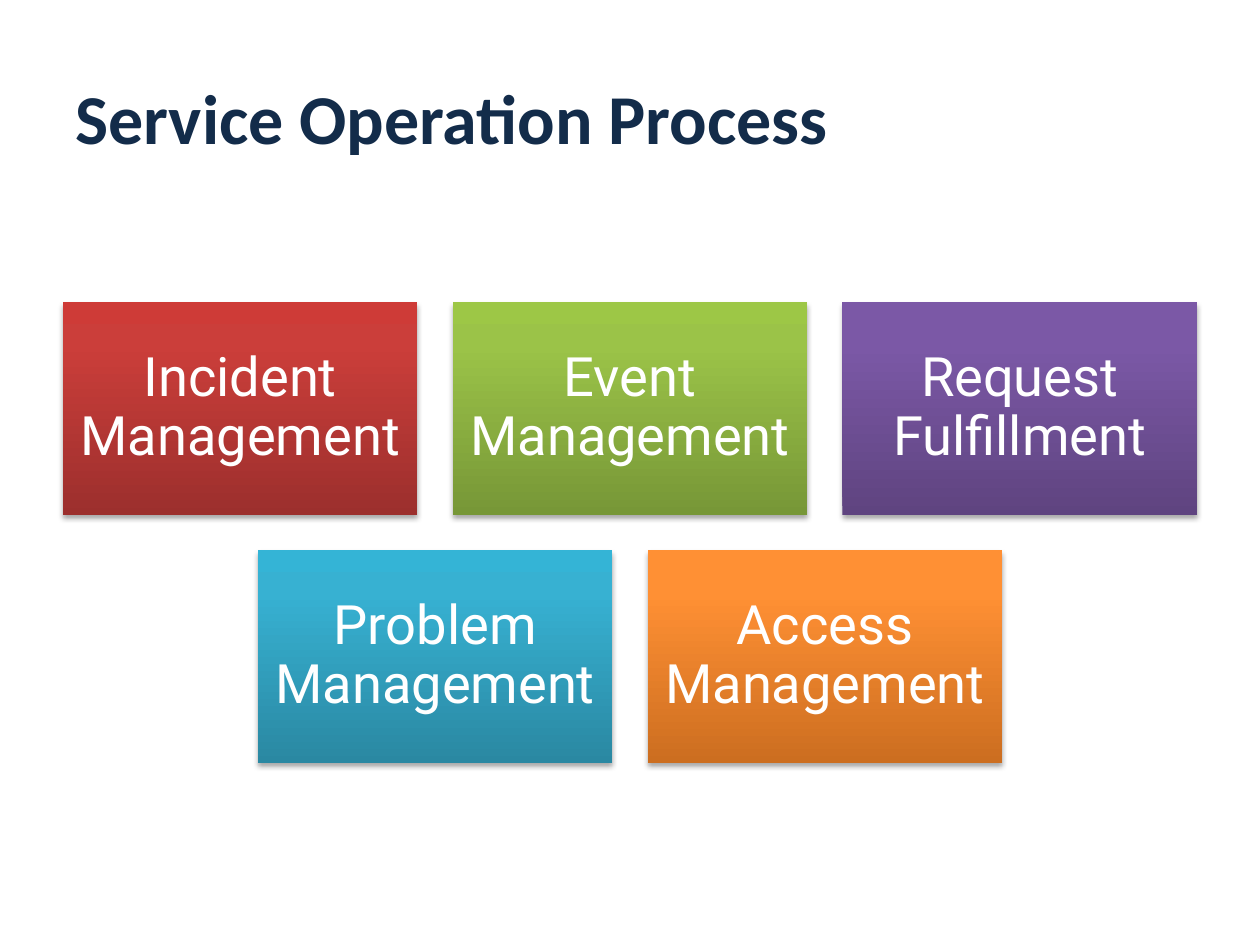
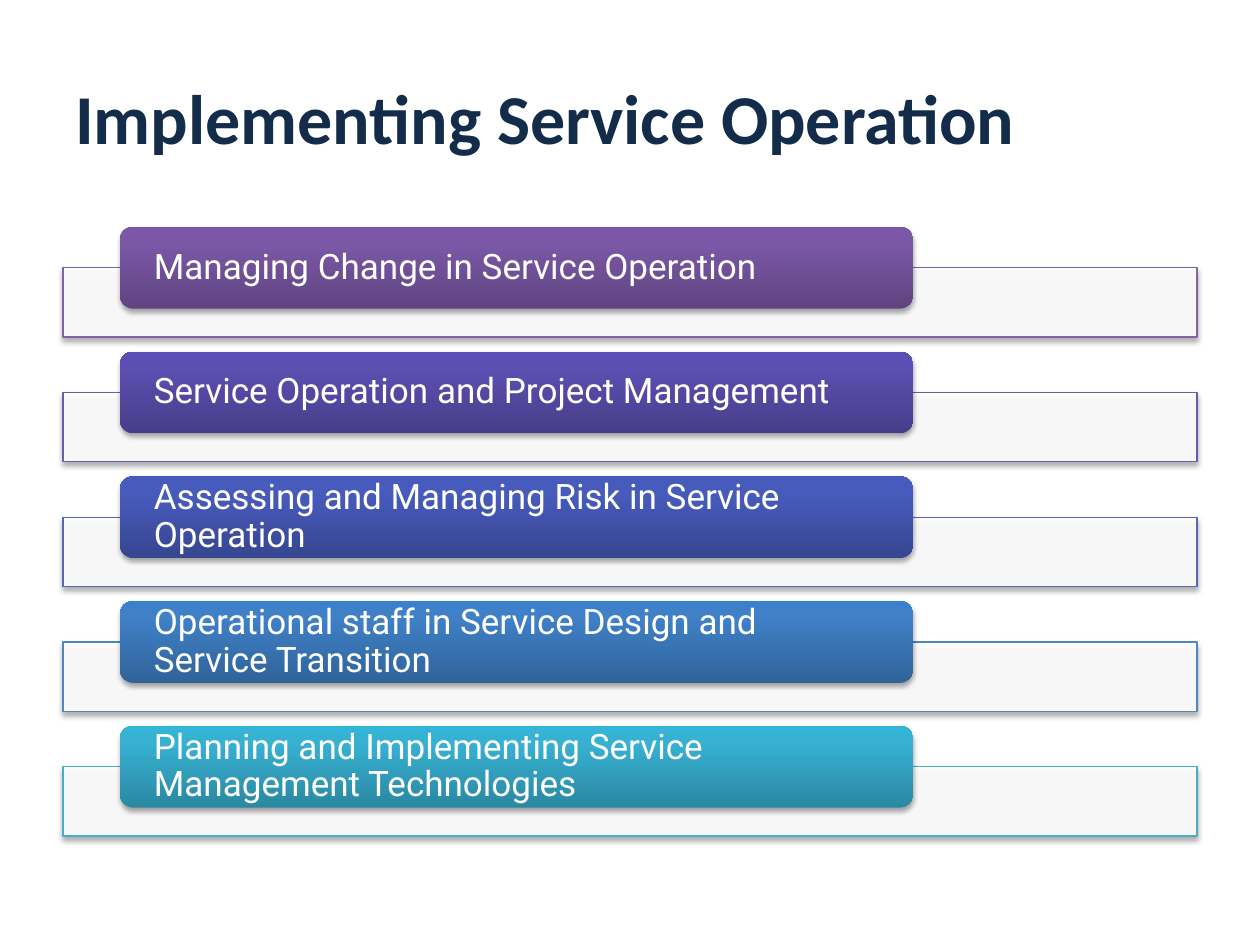
from lxml import etree
from pptx import Presentation, util as u
from pptx.dml.color import RGBColor
from pptx.enum import shapes, text
from pptx.oxml.ns import qn

SLIDE_WIDTH, SLIDE_HEIGHT = u.Inches(10), u.Inches(7.5)
MARGIN = 0.05 * SLIDE_WIDTH
CONTENT_WIDTH = SLIDE_WIDTH - 2 * MARGIN
NAVY, WHITE, BLACK = "132C4A", "FFFFFF", "000000"

# Gradients run from the bottom edge (0 %) through 80 % to the top edge (100 %).
RED = ("9C2F2D", "CB3E3A", "CE3B37")
GREEN = ("779737", "9BC348", "9DC746")
PURPLE = ("5F4480", "7B58A6", "7C57A8")
INDIGO = ("483D89", "5D4FB1", "5C4EB4")
ROYAL = ("374691", "475BBC", "455ABF")
BLUE = ("306399", "3F80C7", "3C80CB")
TEAL = ("2A88A2", "37B1D2", "34B4D6")
ORANGE = ("CC6E20", "FF9034", "FF9136")

PROCESS_ROWS = [
    [("Incident Management", RED), ("Event Management", GREEN),
     ("Request Fulfillment", PURPLE)],
    [("Problem Management", TEAL), ("Access Management", ORANGE)],
]
TOPICS = [
    ("Managing Change in Service Operation", PURPLE, "8064A2"),
    ("Service Operation and Project Management", INDIGO, "685DAB"),
    ("Assessing and Managing Risk in Service Operation", ROYAL, "5767B4"),
    ("Operational staff in Service Design and Service Transition", BLUE, "5185BD"),
    ("Planning and Implementing Service Management Technologies", TEAL, "4BACC6"),
]


def rgb(hex_code):
    return RGBColor.from_string(hex_code)


def add_node(parent, tag, **attributes):
    node = etree.SubElement(parent, qn(tag))
    for key, value in attributes.items():
        node.set(key, str(value))
    return node


def write(shape, words, font_name, size, color, bold=False):
    frame = shape.text_frame
    frame.word_wrap = True
    frame.vertical_anchor = text.MSO_ANCHOR.MIDDLE
    frame.text = words
    paragraph = frame.paragraphs[0]
    paragraph.alignment = text.PP_ALIGN.LEFT
    font = paragraph.runs[0].font
    font.name, font.size, font.bold = font_name, u.Pt(size), bold
    font.color.rgb = rgb(color)
    return paragraph


def set_margins(shape, side, vertical):
    frame = shape.text_frame
    frame.margin_left = frame.margin_right = u.Inches(side)
    frame.margin_top = frame.margin_bottom = u.Inches(vertical)


def fill_gradient(shape, colors):
    shape.fill.gradient()
    shape.fill.gradient_angle = 90
    stops = shape._element.spPr.find(qn("a:gradFill")).find(qn("a:gsLst"))
    for stop in list(stops):
        stops.remove(stop)
    for percent, color in zip((0, 80, 100), colors):
        stop = add_node(stops, "a:gs", pos=percent * 1000)
        add_node(stop, "a:srgbClr", val=color)


def cast_shadow(shape):
    """Give the shape a soft shadow falling straight down."""
    shape.shadow.inherit = False
    effects = shape._element.spPr.find(qn("a:effectLst"))
    shadow = add_node(effects, "a:outerShdw", blurRad=u.Pt(3.1), dist=u.Pt(1.8),
                      dir=90 * 60000, rotWithShape=0)
    add_node(add_node(shadow, "a:srgbClr", val=BLACK), "a:alpha", val=35000)


def add_panel(slide, kind, left, top, width, height):
    panel = slide.shapes.add_shape(
        kind, *(round(length) for length in (left, top, width, height)))
    cast_shadow(panel)
    return panel


def add_label(slide, kind, box, words, colors, size):
    """Add a gradient panel that carries white text."""
    label = add_panel(slide, kind, *box)
    fill_gradient(label, colors)
    label.line.fill.background()
    write(label, words, "Roboto", size, WHITE).line_spacing = 0.9
    return label


def add_titled_slide(deck, title):
    slide = deck.slides.add_slide(deck.slide_layouts[6])
    heading = slide.shapes.add_textbox(
        round(MARGIN), round(0.04 * SLIDE_HEIGHT),
        round(CONTENT_WIDTH), u.Inches(1.25))
    write(heading, title, "Calibri", 40, NAVY, bold=True)
    return slide


def add_process_cards(slide, rows):
    """Lay the cards out in centred rows with equal gaps."""
    columns = max(len(row) for row in rows)
    gap = 0.028 * SLIDE_WIDTH
    width = (CONTENT_WIDTH - (columns - 1) * gap) / columns
    height = 0.6 * width
    for row_index, row in enumerate(rows):
        row_width = len(row) * (width + gap) - gap
        first_left = (SLIDE_WIDTH - row_width) / 2
        top = 0.32 * SLIDE_HEIGHT + row_index * (height + gap)
        for column, (process, colors) in enumerate(row):
            left = first_left + column * (width + gap)
            card = add_label(slide, shapes.MSO_SHAPE.RECTANGLE,
                             (left, top, width, height), process, colors, 31)
            set_margins(card, 0.13, 0.13)
            card.text_frame.paragraphs[0].alignment = text.PP_ALIGN.CENTER


def add_topic(slide, top, topic, colors, outline):
    """Add an outlined strip with a rounded label over its upper edge."""
    strip = add_panel(slide, shapes.MSO_SHAPE.RECTANGLE, MARGIN,
                      top + u.Inches(0.325), CONTENT_WIDTH, u.Inches(0.55))
    strip.fill.solid()
    strip.fill.fore_color.rgb = rgb(WHITE)
    solid = strip._element.spPr.find(qn("a:solidFill"))
    add_node(solid[0], "a:alpha", val=90000)
    strip.line.color.rgb = rgb(outline)
    strip.line.width = u.Pt(0.75)
    box = (MARGIN + 0.05 * CONTENT_WIDTH, top, 0.7 * CONTENT_WIDTH, u.Inches(0.65))
    label = add_label(slide, shapes.MSO_SHAPE.ROUNDED_RECTANGLE,
                      box, topic, colors, 20)
    set_margins(label, 0.24, 0)


def main():
    deck = Presentation()
    deck.slide_width, deck.slide_height = SLIDE_WIDTH, SLIDE_HEIGHT

    processes = add_titled_slide(deck, "Service Operation Process")
    add_process_cards(processes, PROCESS_ROWS)

    implementing = add_titled_slide(deck, "Implementing Service Operation")
    for row, (topic, colors, outline) in enumerate(TOPICS):
        top = 0.24 * SLIDE_HEIGHT + row * u.Inches(0.99)
        add_topic(implementing, top, topic, colors, outline)

    deck.save("out.pptx")


if __name__ == "__main__":
    main()
